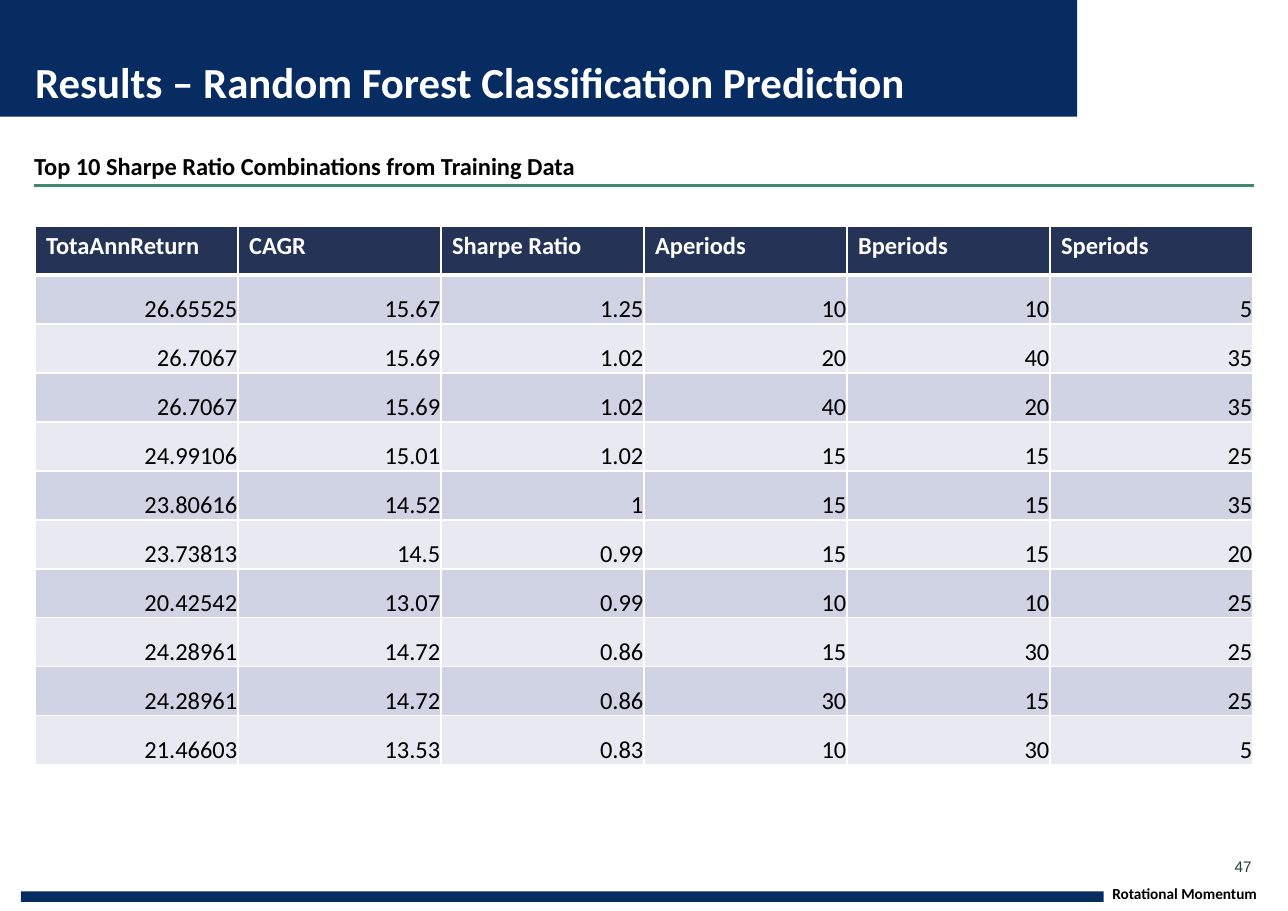
from lxml.etree import SubElement as Sub
from pptx import Presentation
from pptx.dml.color import RGBColor as RGB
from pptx.enum.shapes import MSO_CONNECTOR as LINK, MSO_SHAPE as SHAPE
from pptx.enum.text import MSO_ANCHOR as ANCHOR, PP_ALIGN as ALIGN
from pptx.oxml.ns import qn
from pptx.util import Cm, Pt

NAVY = RGB(0x07, 0x2C, 0x62)
HEAD = RGB(0x25, 0x33, 0x56)
DARK = RGB(0xD0, 0xD3, 0xE3)
LIGHT = RGB(0xE9, 0xEA, 0xF1)
GREEN = RGB(0x40, 0x8B, 0x70)
MOSS = RGB(0x23, 0x40, 0x35)
WHITE = RGB(0xFF, 0xFF, 0xFF)
BLACK = RGB(0, 0, 0)

LABELS = ["TotaAnnReturn", "CAGR", "Sharpe Ratio", "Aperiods", "Bperiods", "Speriods"]
RESULTS = [
    ["26.65525", "15.67", "1.25", "10", "10", "5"],
    ["26.7067", "15.69", "1.02", "20", "40", "35"],
    ["26.7067", "15.69", "1.02", "40", "20", "35"],
    ["24.99106", "15.01", "1.02", "15", "15", "25"],
    ["23.80616", "14.52", "1", "15", "15", "35"],
    ["23.73813", "14.5", "0.99", "15", "15", "20"],
    ["20.42542", "13.07", "0.99", "10", "10", "25"],
    ["24.28961", "14.72", "0.86", "15", "30", "25"],
    ["24.28961", "14.72", "0.86", "30", "15", "25"],
    ["21.46603", "13.53", "0.83", "10", "30", "5"],
]


def write(frame, text, size=16, color=BLACK, bold=False, font="Calibri",
          align=ALIGN.LEFT, space=1.0):
    para = frame.paragraphs[0]
    run = para.add_run()
    run.text = text
    para.alignment = align
    para.line_spacing = space
    run.font.name = font
    run.font.size = Pt(size)
    run.font.bold = bold
    run.font.color.rgb = color


def inset(item, left, top, right, base):
    item.margin_left, item.margin_top = Cm(left), Cm(top)
    item.margin_right, item.margin_bottom = Cm(right), Cm(base)


def add_bar(slide, left, top, width, height, color):
    bar = slide.shapes.add_shape(SHAPE.RECTANGLE, Cm(left), Cm(top), Cm(width), Cm(height))
    bar.shadow.inherit = False
    bar.fill.solid()
    bar.fill.fore_color.rgb = color
    bar.line.fill.background()


def add_text(slide, left, top, width, height, text, anchor=ANCHOR.BOTTOM,
             wrap=True, base=0, **style):
    box = slide.shapes.add_textbox(Cm(left), Cm(top), Cm(width), Cm(height))
    frame = box.text_frame
    frame.word_wrap = wrap
    frame.vertical_anchor = anchor
    inset(frame, 0, 0, 0, base)
    write(frame, text, **style)


def add_title(slide, text):
    title = slide.shapes.title
    title.left, title.top, title.width, title.height = Cm(0.81), Cm(1.27), Cm(24.1), Cm(1.19)
    title.element.getparent().append(title.element)
    title.text_frame.vertical_anchor = ANCHOR.BOTTOM
    inset(title.text_frame, 0, 0, 0, 0)
    write(title.text_frame, text, size=28, color=WHITE, bold=True)


def add_rule(slide, left, right, top):
    rule = slide.shapes.add_connector(LINK.STRAIGHT, Cm(left), Cm(top), Cm(right), Cm(top))
    rule.line.color.rgb = GREEN
    rule.line.width = Pt(2)
    Sub(rule.element.spPr, qn("a:effectLst"))


def edge(cell, **widths):
    props = cell._tc.get_or_add_tcPr()
    for side in "LRTB":
        line = Sub(props, qn(f"a:ln{side}"), w=str(Pt(widths.get(side, 1))))
        Sub(Sub(line, qn("a:solidFill")), qn("a:srgbClr"), val=str(WHITE))


def fill_cell(cell, row, text):
    if row == 0:
        edge(cell, B=3)
        color = HEAD
        write(cell.text_frame, text, color=WHITE, bold=True)
    else:
        edge(cell, T=3 if row == 1 else 1)
        color = DARK if row % 2 else LIGHT
        cell.vertical_anchor = ANCHOR.BOTTOM
        inset(cell, 0.02, 0.02, 0.02, 0)
        write(cell.text_frame, text, align=ALIGN.RIGHT)
    cell.fill.solid()
    cell.fill.fore_color.rgb = color


def add_grid(slide, rows):
    frame = slide.shapes.add_table(len(rows), len(rows[0]), Cm(0.81), Cm(5.21), Cm(28.09), Cm(12.42))
    for row, texts in enumerate(rows):
        for col, text in enumerate(texts):
            fill_cell(frame.table.cell(row, col), row, text)


def main():
    """Build the results slide and save it."""
    deck = Presentation()
    deck.slide_width, deck.slide_height = Cm(29.7), Cm(21)
    slide = deck.slides.add_slide(deck.slide_layouts[5])
    add_bar(slide, 0, 0, 24.84, 2.69, NAVY)
    add_bar(slide, 0.48, 20.55, 24.97, 0.24, NAVY)
    add_text(slide, 25.65, 20.37, 4, 0.43, "Rotational Momentum", size=10, bold=True)
    add_title(slide, "Results – Random Forest Classification Prediction")
    add_text(slide, 28.47, 19.76, 0.43, 0.43, "47", anchor=ANCHOR.MIDDLE,
             wrap=False, size=10, font="Arial", color=MOSS)
    add_grid(slide, [LABELS] + RESULTS)
    add_text(slide, 0.79, 3.45, 28.12, 0.79, "Top 10 Sharpe Ratio Combinations from Training Data",
             base=0.08, bold=True, space=1.1)
    add_rule(slide, 0.79, 28.91, 4.27)
    deck.save("out.pptx")


if __name__ == "__main__":
    main()
